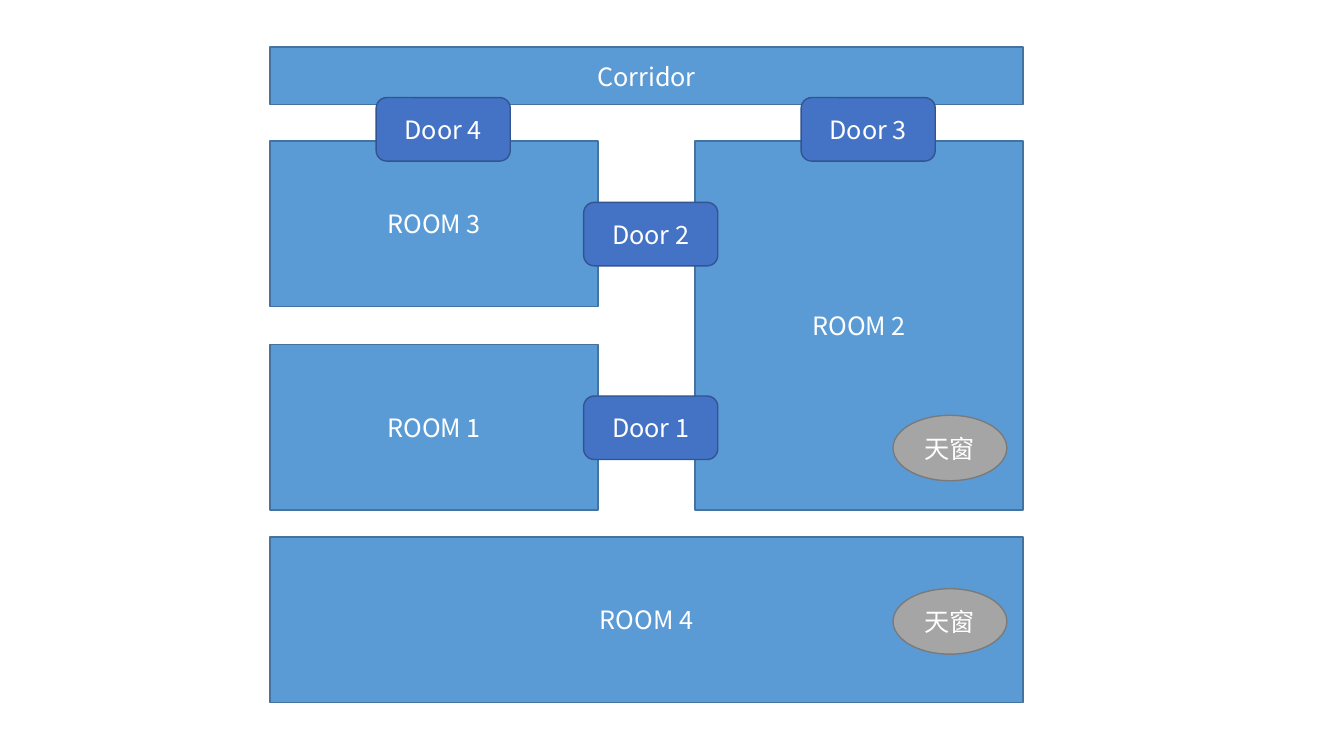
import pptx
import pptx.dml.color
import pptx.enum.shapes
import pptx.enum.text
import pptx.oxml.ns
import pptx.util
import lxml.etree

Cm = pptx.util.Cm
SHAPES = pptx.enum.shapes.MSO_SHAPE
FONT = "Noto Sans CJK SC"
COLOURS = {
    "room": "5B9BD5", "room edge": "43739E",
    "door": "4472C4", "door edge": "325491",
    "skylight": "A5A5A5", "skylight edge": "7A7A7A",
    "text": "FFFFFF",
}
OUTLINES = {
    "room": SHAPES.RECTANGLE,
    "door": SHAPES.ROUNDED_RECTANGLE,
    "skylight": SHAPES.OVAL,
}
TEXT_FORMAT = {"name": FONT, "size": pptx.util.Pt(18)}
FRAME_FORMAT = {
    "word_wrap": True,
    "vertical_anchor": pptx.enum.text.MSO_ANCHOR.MIDDLE,
}

# Lengths in centimetres, measured from the corner of the plan
PLAN_BOX = (6.81, 1.19, 18.97, 16.51)
CORRIDOR_HEIGHT = 1.45
ROOM_WIDTH, ROOM_HEIGHT = 8.26, 4.17
ROOM_3_TOP, ROOM_1_TOP = 2.36, 7.49
DOOR_SIZE = (3.38, 1.6)
SKYLIGHT_SIZE = (2.87, 1.65)


def colour(name):
    """Return the named colour."""
    return pptx.dml.color.RGBColor.from_string(COLOURS[name])


def set_format(target, values):
    """Set every attribute listed in values."""
    for name, value in values.items():
        setattr(target, name, value)


def add_part(group, kind, label, box):
    """Add one labelled part of the plan; box is left, top, width, height."""
    shape = group.shapes.add_shape(OUTLINES[kind], *map(Cm, box))
    shape.shadow.inherit = False
    shape.fill.solid()
    shape.fill.fore_color.rgb = colour(kind)
    shape.line.color.rgb = colour(kind + " edge")
    shape.line.width = pptx.util.Pt(1)
    set_format(shape.text_frame, FRAME_FORMAT)
    paragraph = shape.text_frame.paragraphs[0]
    paragraph.alignment = pptx.enum.text.PP_ALIGN.CENTER
    run = paragraph.add_run()
    run.text = label
    set_format(run.font, TEXT_FORMAT)
    run.font.color.rgb = colour("text")
    east_asian = lxml.etree.SubElement(
        run.font._element, pptx.oxml.ns.qn("a:ea"))
    east_asian.set("typeface", FONT)


def add_rooms(group, box):
    """Add the corridor and the four rooms."""
    left, top, width, height = box
    right_column = width - ROOM_WIDTH
    room_2_height = ROOM_1_TOP + ROOM_HEIGHT - ROOM_3_TOP
    rooms = [
        ("ROOM 1", 0, ROOM_1_TOP, ROOM_WIDTH, ROOM_HEIGHT),
        ("ROOM 3", 0, ROOM_3_TOP, ROOM_WIDTH, ROOM_HEIGHT),
        ("ROOM 2", right_column, ROOM_3_TOP, ROOM_WIDTH, room_2_height),
        ("Corridor", 0, 0, width, CORRIDOR_HEIGHT),
        ("ROOM 4", 0, height - ROOM_HEIGHT, width, ROOM_HEIGHT),
    ]
    for label, x, y, room_width, room_height in rooms:
        add_part(group, "room", label,
                 (left + x, top + y, room_width, room_height))


def add_centred(group, box, kind, size, centres):
    """Add equal parts, each given as a label and its centre in the box."""
    for label, x, y in centres:
        corner = (box[0] + x - size[0] / 2, box[1] + y - size[1] / 2)
        add_part(group, kind, label, corner + size)


def add_doors(group, box):
    """Add the doors between rooms and to the corridor."""
    middle = 9.59
    corridor_edge = 2.07
    left_door = 4.36
    right_door = left_door + box[2] - ROOM_WIDTH
    add_centred(group, box, "door", DOOR_SIZE, [
        ("Door 2", middle, 4.71),
        ("Door 1", middle, 9.59),
        ("Door 3", right_door, corridor_edge),
        ("Door 4", left_door, corridor_edge),
    ])


def add_skylights(group, box):
    """Add the skylights of rooms 2 and 4."""
    add_centred(group, box, "skylight", SKYLIGHT_SIZE,
                [("天窗", 17.13, y) for y in (10.1, 14.47)])


def add_floor_plan(slide, box):
    """Add the whole floor plan as one group."""
    group = slide.shapes.add_group_shape()
    for add_layer in (add_rooms, add_doors, add_skylights):
        add_layer(group, box)


presentation = pptx.Presentation()
presentation.slide_width = Cm(33.87)
presentation.slide_height = Cm(19.05)
slide = presentation.slides.add_slide(presentation.slide_layouts[6])
add_floor_plan(slide, PLAN_BOX)
presentation.save("out.pptx")
